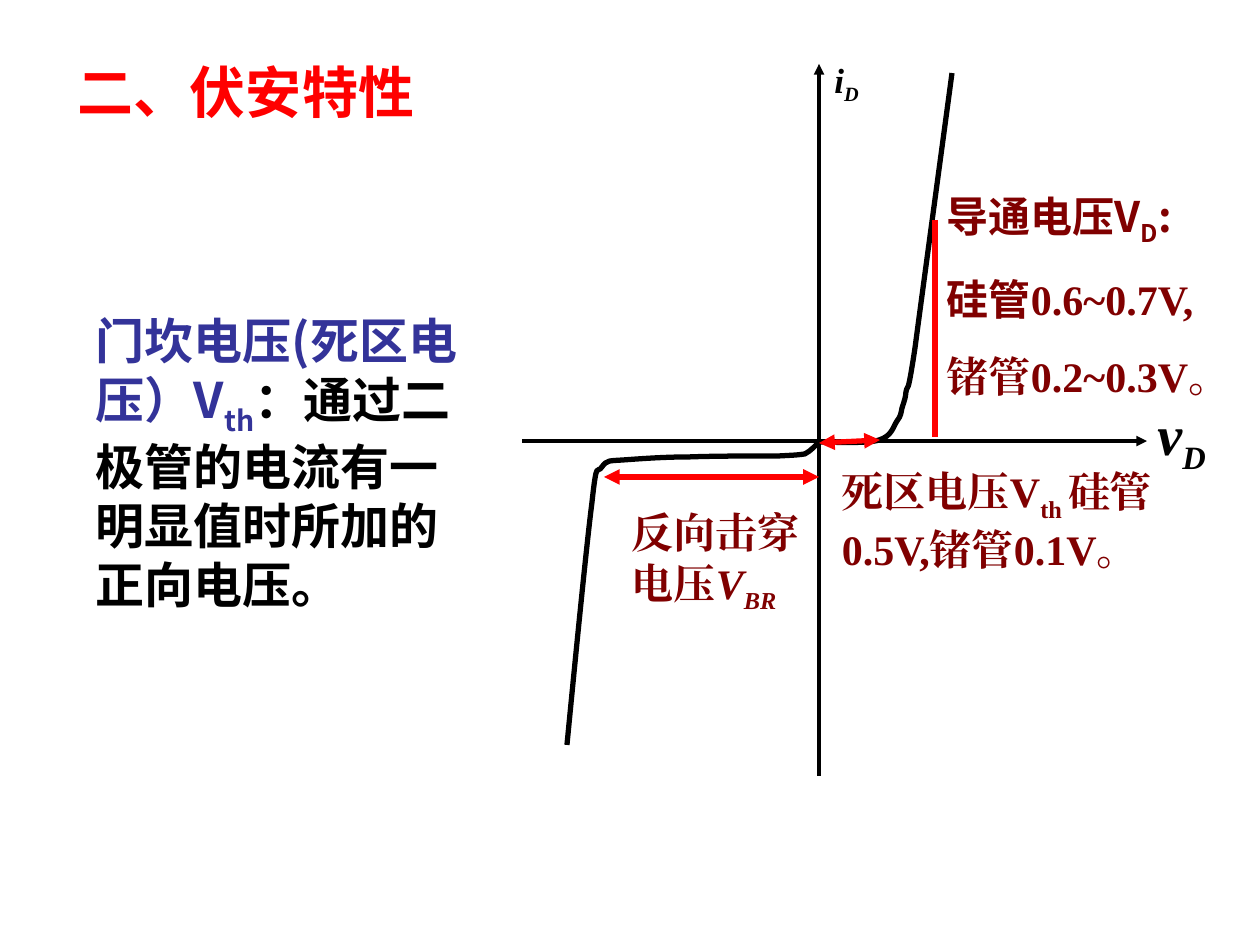
from pptx import Presentation
from pptx.dml.color import RGBColor
from pptx.enum.shapes import MSO_CONNECTOR
from pptx.enum.text import MSO_ANCHOR, MSO_AUTO_SIZE, PP_ALIGN
from pptx.oxml.ns import qn
from pptx.util import Pt
from lxml.etree import SubElement

SCALE = 914400 / 126
BLACK, RED, MAROON, BLUE = "000000", "FF0000", "800000", "333399"
HAN, LATIN = "Noto Sans CJK SC", "Times New Roman"
SUB = {"baseline": "-25000"}

FORWARD = [
    (819, 442),
    (829, 442), (867, 444), (879, 440),
    (892, 436), (893, 427), (897, 421),
    (901, 416), (901, 413), (902, 408),
    (903, 403), (905, 402), (906, 392),
    (908, 382), (907, 401), (915, 348),
    (922, 295), (946, 118), (952, 73),
]
REVERSE = [
    (819, 442),
    (816, 445), (811, 451), (805, 454),
    (798, 455), (798, 455), (779, 456),
    (759, 456), (714, 456), (689, 457),
    (663, 457), (638, 459), (624, 460),
    (609, 461), (607, 460), (602, 467),
    (597, 475), (597, 457), (592, 503),
    (586, 549), (572, 694), (567, 745),
]


def px(length):
    return round(length * SCALE)


def color(value):
    return RGBColor.from_string(value)


def apply(target, values):
    for name, value in values.items():
        setattr(target, name, value)


def add_span(para, text, size, hue, font=LATIN, italic=False, baseline=None):
    span = para.add_run()
    span.text = text
    apply(span.font, {"size": Pt(size), "bold": True, "italic": italic, "name": font})
    span.font.color.rgb = color(hue)
    properties = span.font._element
    SubElement(properties, qn("a:ea")).set("typeface", font)
    if baseline:
        properties.set("baseline", baseline)


def fill_text(box, frame, paragraphs, size, hue, before, align=PP_ALIGN.LEFT,
              anchor=MSO_ANCHOR.MIDDLE, inset=13):
    apply(box, dict(zip(("left", "top", "width", "height"), map(px, frame))))
    text = box.text_frame
    apply(text, {
        "word_wrap": True, "auto_size": MSO_AUTO_SIZE.SHAPE_TO_FIT_TEXT,
        "vertical_anchor": anchor, "margin_left": px(inset), "margin_right": px(13),
        "margin_top": px(6), "margin_bottom": px(6),
    })
    for index, spans in enumerate(paragraphs):
        para = text.add_paragraph() if index else text.paragraphs[0]
        apply(para, {"alignment": align, "space_before": Pt(before)})
        for content, changes in spans:
            add_span(para, content, **{"size": size, "hue": hue, **changes})


def add_text(page, frame, paragraphs, size, hue, before, **layout):
    box = page.shapes.add_textbox(*map(px, frame))
    fill_text(box, frame, paragraphs, size, hue, before, **layout)


def add_line(page, start, end, hue, weight, arrows=()):
    line = page.shapes.add_connector(MSO_CONNECTOR.STRAIGHT, *map(px, start + end))
    line.line.color.rgb = color(hue)
    line.line.width = Pt(weight)
    for arrow in arrows:
        SubElement(line.line._get_or_add_ln(), qn(arrow)).set("type", "triangle")
    SubElement(line._element.spPr, qn("a:effectLst"))


def add_curve(page, points):
    start, *controls = [tuple(map(px, point)) for point in points]
    builder = page.shapes.build_freeform(*start)
    builder.add_line_segments(controls, close=False)
    curve = builder.convert_to_shape()
    segments = list(curve._element.iter(qn("a:lnTo")))
    outline = segments[0].getparent()
    for first in range(0, len(segments), 3):
        bend = SubElement(outline, qn("a:cubicBezTo"))
        for segment in segments[first:first + 3]:
            bend.append(segment[0])
            outline.remove(segment)
    curve.shadow.inherit = False
    curve.fill.background()
    curve.line.color.rgb = color(BLACK)
    curve.line.width = Pt(3)


def add_axis_label(page, frame, letter, size, before):
    italic = {"italic": True}
    add_text(page, frame, [[(letter, italic), ("D", {**italic, **SUB})]],
             size, BLACK, before, align=PP_ALIGN.CENTER)


def add_graph(page):
    both = ("a:headEnd", "a:tailEnd")
    add_line(page, (819, 64), (819, 776), BLACK, 2, both[:1])
    add_line(page, (1147, 441), (522, 441), BLACK, 2, both[:1])
    add_curve(page, FORWARD)
    add_curve(page, REVERSE)
    add_axis_label(page, (1103, 393, 157, 89), "v", 32, 20)
    add_axis_label(page, (819, 52, 55, 60), "i", 20, 12.5)
    add_line(page, (819, 443), (880, 440), RED, 3, both)
    add_line(page, (935, 220), (935, 437), RED, 3)
    add_line(page, (604, 477), (819, 477), RED, 3, both)


def add_notes(page):
    han = {"font": HAN}
    add_text(page, (829, 459, 363, 121), [
        [("死区电压V", {}), ("th ", SUB), ("硅管0.5V,锗管0.1V。", {})],
    ], 24, MAROON, 15)
    add_text(page, (934, 184, 325, 223), [
        [("导通电压V", han), ("D", {**han, **SUB}), (":", han)],
        [("硅管", han), ("0.6~0.7V,", {})],
        [("锗管0.2~0.3V。", {})],
    ], 24, MAROON, 15)
    add_text(page, (619, 500, 203, 121), [
        [("反向击穿电压", {}), ("V", {"italic": True}), ("BR", {"italic": True, **SUB})],
    ], 24, MAROON, 15)
    add_text(page, (83, 305, 412, 315), [
        [("门坎电压(死区电压）V", han), ("th", {**han, **SUB}),
         ("：通过二极管的电流有一明显值时所加的正向电压。", {**han, "hue": BLACK})],
    ], 28, BLUE, 17.5, anchor=MSO_ANCHOR.TOP)


def main():
    deck = Presentation()
    apply(deck, {"slide_width": px(1260), "slide_height": px(945)})
    page = deck.slides.add_slide(deck.slide_layouts[5])
    fill_text(page.shapes.title, (52, 51, 508, 81),
              [[("二、伏安特性", {"font": HAN})]], 32, RED, 20, inset=26)
    add_graph(page)
    add_notes(page)
    deck.save("out.pptx")


if __name__ == "__main__":
    main()
